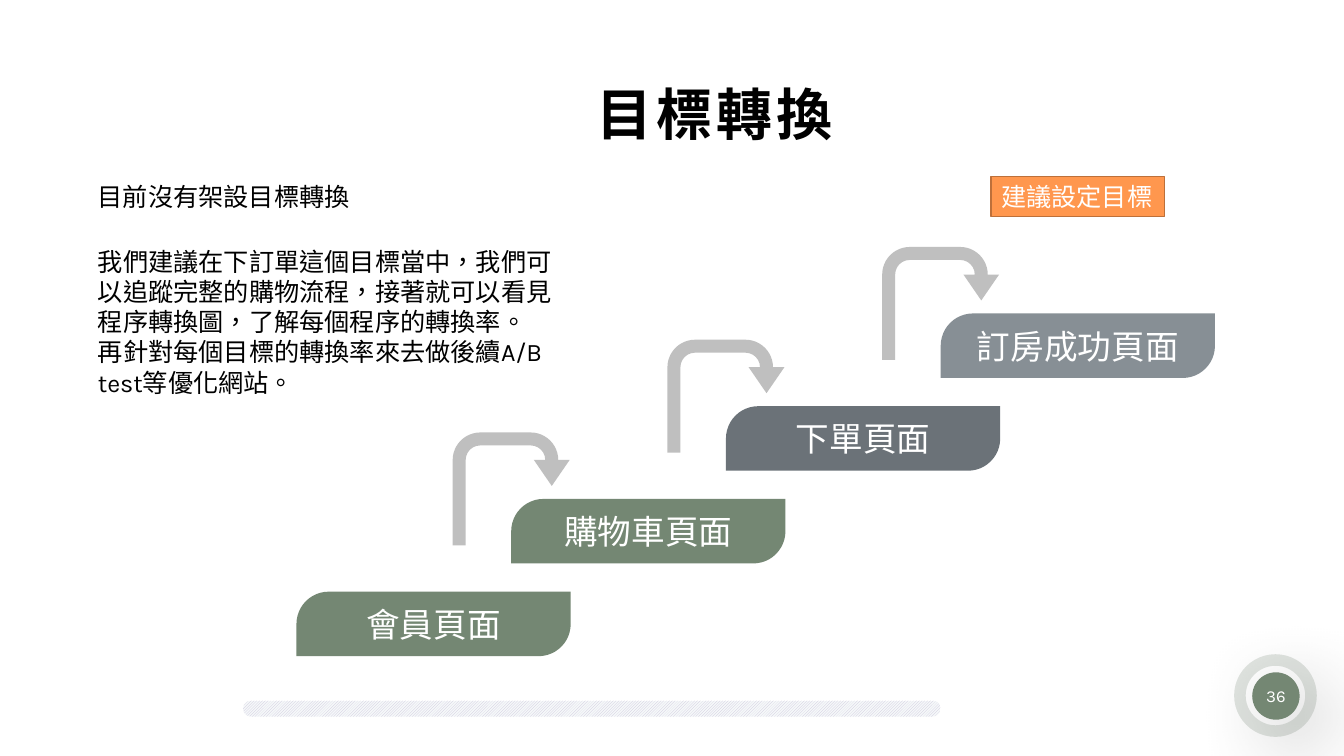
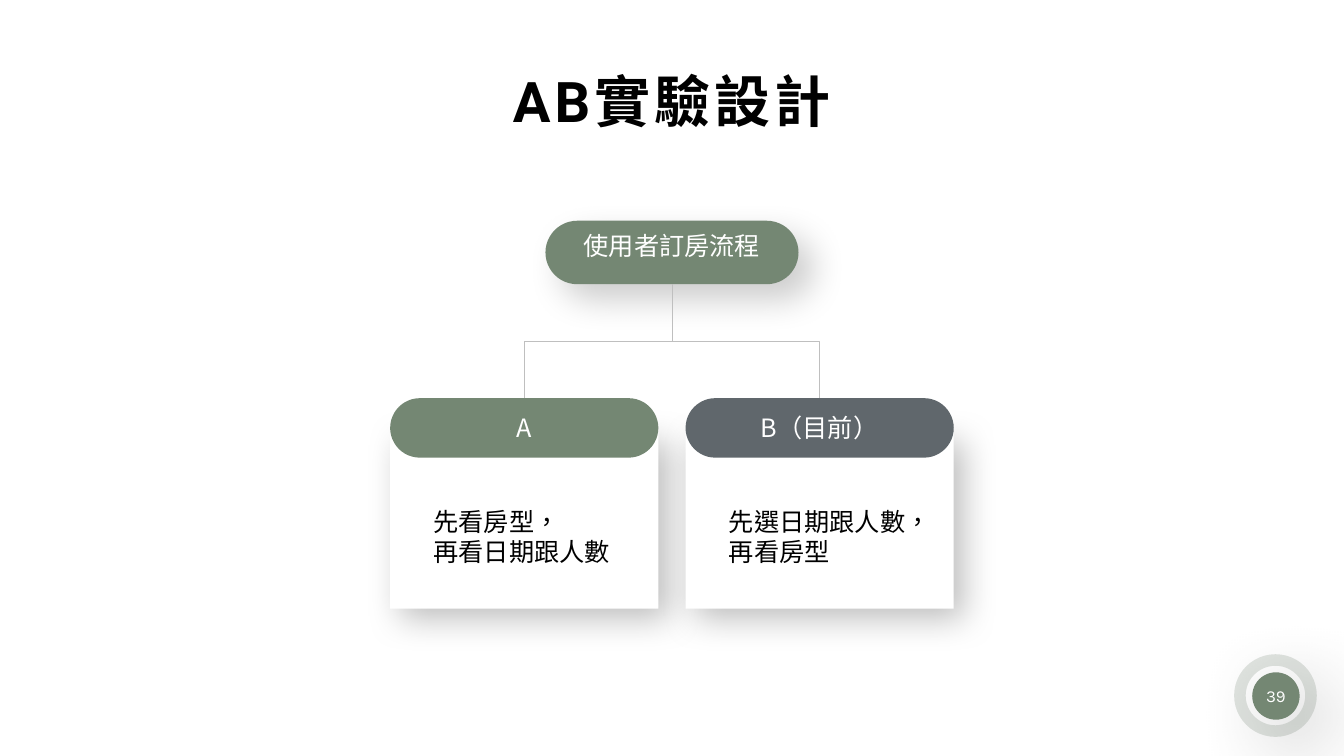
from lxml import etree
from pptx import Presentation
from pptx import util as u
from pptx.dml.color import RGBColor
from pptx.enum import dml, shapes, text
from pptx.oxml.ns import qn

SAGE, SLATE, STONE, CHARCOAL = "748773", "6B7278", "878F95", "60676C"
SILVER, WHITE, BLACK = "BFBFBF", "FFFFFF", "000000"
TITLE_FACE, STEP_FACE, BODY_FACE, TREE_FACE = (
    "Roboto", "Roboto Condensed", "Karla", "Noto Sans CJK SC")
SHAPE = shapes.MSO_SHAPE
LEFT, CENTER = text.PP_ALIGN.LEFT, text.PP_ALIGN.CENTER
TOP, MIDDLE = text.MSO_ANCHOR.TOP, text.MSO_ANCHOR.MIDDLE


def rgb(hex_color):
    return RGBColor.from_string(hex_color)


def add_alpha(color_element, percent):
    etree.SubElement(color_element, qn("a:alpha"), val=str(percent * 1000))


class Deck:
    """Holds the shared style and the slide being built."""

    def __init__(self):
        self.prs = Presentation()
        self.prs.slide_width = u.Inches(13.33)
        self.prs.slide_height = u.Inches(7.5)
        self.slide = None

    def new_slide(self, layout, title, title_box, page):
        self.slide = self.prs.slides.add_slide(self.prs.slide_layouts[layout])
        heading = self.slide.shapes.title
        self.place(heading, title_box)
        self.set_text(heading, [title], 40, TITLE_FACE, BLACK, CENTER,
                      wrap=False, bold=True, tracking=3)
        self.page_badge(page)

    def place(self, target, box):
        target.left, target.top, target.width, target.height = map(u.Inches, box)

    def set_text(self, target, lines, size, face, color, align=LEFT, anchor=TOP,
                 wrap=True, bold=False, tracking=0,
                 margins=(0.1, 0.05, 0.1, 0.05)):
        frame = target.text_frame
        frame.auto_size = text.MSO_AUTO_SIZE.NONE
        frame.word_wrap = wrap
        frame.vertical_anchor = anchor
        (frame.margin_left, frame.margin_top,
         frame.margin_right, frame.margin_bottom) = map(u.Inches, margins)
        frame.text = "\n".join(lines)
        for paragraph in frame.paragraphs:
            paragraph.alignment = align
            paragraph.space_before = u.Pt(0)
            if target.is_placeholder:
                self.clear_bullet(paragraph)
            font = paragraph.font
            font.size, font.bold, font.name = u.Pt(size), bold, face
            font.color.rgb = rgb(color)
            defaults = paragraph._p.pPr.find(qn("a:defRPr"))
            defaults.set("lang", "zh-TW")
            defaults.set("spc", str(tracking * 100))
            etree.SubElement(defaults, qn("a:ea"), typeface=face)

    def clear_bullet(self, paragraph):
        properties = paragraph._p.get_or_add_pPr()
        properties.set("marL", "0")
        properties.set("indent", "0")
        etree.SubElement(properties, qn("a:buNone"))

    def shape(self, kind, box, fill, adjust=(), alpha=None, outline=None,
              shadow=None):
        """Adds a preset shape; shadow is (opacity %, blur pt, distance pt)."""
        item = self.slide.shapes.add_shape(kind, *map(u.Inches, box))
        for index, value in enumerate(adjust):
            item.adjustments[index] = value
        item.fill.solid()
        item.fill.fore_color.rgb = rgb(fill)
        if alpha is not None:
            add_alpha(item._element.spPr.find(".//" + qn("a:srgbClr")), alpha)
        if outline:
            item.line.color.rgb = rgb(outline)
            item.line.width = u.Pt(1)
        else:
            item.line.fill.background()
        item.shadow.inherit = False
        if shadow:
            self.cast_shadow(item, *shadow)
        return item

    def cast_shadow(self, item, opacity, blur, distance):
        effects = item._element.spPr.find(qn("a:effectLst"))
        outer = etree.SubElement(
            effects, qn("a:outerShdw"), blurRad=str(u.Pt(blur)),
            dist=str(u.Pt(distance)), dir="2700000", algn="tl", rotWithShape="0")
        add_alpha(etree.SubElement(outer, qn("a:srgbClr"), val=BLACK), opacity)

    def pill(self, box, fill, label, shadow=None, **style):
        pill = self.shape(SHAPE.ROUNDED_RECTANGLE, box, fill, [0.5], shadow=shadow)
        self.set_text(pill, [label], 18, TREE_FACE, WHITE, CENTER, **style)

    def page_badge(self, page):
        self.shape(SHAPE.DONUT, (12.24, 6.49, 0.82, 0.82), SAGE, [0.14], alpha=22)
        disc = self.shape(SHAPE.OVAL, (12.42, 6.67, 0.47, 0.47), SAGE,
                          shadow=(40, 59, 21))
        self.set_text(disc, [page], 12, BODY_FACE, WHITE, CENTER, MIDDLE,
                      wrap=False, margins=(0, 0, 0, 0))

    def note(self, box, line):
        note = self.slide.shapes.add_textbox(*map(u.Inches, box))
        self.set_text(note, [line], 18, BODY_FACE, BLACK, wrap=False)

    def body(self, box, lines):
        body = self.slide.placeholders[1]
        self.place(body, box)
        self.set_text(body, lines, 18, BODY_FACE, BLACK)

    def tree_branch(self, start, end):
        """Draws an elbow that leaves downwards: a turned horizontal elbow."""
        (x1, y1), (x2, y2) = start, end
        middle_x, middle_y = (x1 + x2) / 2, (y1 + y2) / 2
        half_run, half_rise = (y2 - y1) / 2, abs(x2 - x1) / 2
        to_right = x2 > x1
        if to_right:
            half_run = -half_run
        branch = self.slide.shapes.add_connector(
            shapes.MSO_CONNECTOR.ELBOW,
            u.Inches(middle_x - half_run), u.Inches(middle_y - half_rise),
            u.Inches(middle_x + half_run), u.Inches(middle_y + half_rise))
        branch.line.color.rgb = rgb(SILVER)
        branch.line.width = u.Pt(0.5)
        properties = branch._element.spPr
        degrees = 270 if to_right else 90
        properties.find(qn("a:xfrm")).set("rot", str(degrees * 60000))
        etree.SubElement(properties, qn("a:effectLst"))


def build_goal_slide(deck):
    deck.new_slide(1, "目標轉換", (5.78, 0.74, 2.61, 0.77), "36")
    steps = [("會員頁面", SAGE), ("購物車頁面", SAGE),
             ("下單頁面", SLATE), ("訂房成功頁面", STONE)]
    for index, (label, fill) in enumerate(steps):
        left, top = 2.94 + 2.13 * index, 5.87 - 0.92 * index
        step = deck.shape(SHAPE.ROUND_2_DIAG_RECTANGLE, (left, top, 2.72, 0.64),
                          fill, [0.5, 0])
        deck.set_text(step, [label], 24, STEP_FACE, WHITE, CENTER, MIDDLE)
        if index < len(steps) - 1:
            deck.shape(SHAPE.U_TURN_ARROW, (left + 1.55, top - 1.58, 1.16, 1.12),
                       SILVER, [0.115, 0.158, 0.23, 0.244, 0.474])

    ground = deck.shape(SHAPE.ROUNDED_RECTANGLE, (2.41, 6.95, 6.92, 0.16),
                        WHITE, [0.5])
    ground.fill.patterned()
    ground.fill.pattern = dml.MSO_PATTERN.LIGHT_UPWARD_DIAGONAL
    ground.fill.fore_color.rgb = rgb("CCC3DB")
    ground.fill.back_color.rgb = rgb("F5F8F9")

    deck.note((0.87, 1.75, 2.73, 0.4), "目前沒有架設目標轉換")
    advice = deck.shape(SHAPE.RECTANGLE, (9.83, 1.75, 1.72, 0.4), "FF974E",
                        outline="BD703A")
    deck.set_text(advice, ["建議設定目標"], 18, BODY_FACE, WHITE, wrap=False)
    deck.body((0.87, 2.39, 4.89, 1.62), [
        "我們建議在下訂單這個目標當中，我們可以追蹤完整的購物流程，"
        "接著就可以看見程序轉換圖，了解每個程序的轉換率。",
        "再針對每個目標的轉換率來去做後續A/B test等優化網站。"])


def build_experiment_slide(deck):
    deck.new_slide(5, "AB實驗設計", (4.92, 0.61, 3.49, 0.77), "39")
    variants = [("A", SAGE, ["先看房型，", "再看日期跟人數"]),
                ("B（目前）", CHARCOAL, ["先選日期跟人數，", "再看房型"])]
    width, root_bottom, variant_top = 2.66, 2.82, 3.95
    deck.pill((5.41, 2.19, 2.51, 0.63), SAGE, "使用者訂房流程",
              shadow=(20, 25, 15), margins=(0.1, 0, 0.1, 0))
    for index, (label, fill, order) in enumerate(variants):
        left = 3.87 + 2.93 * index
        card = deck.shape(SHAPE.RECTANGLE, (left, 4.28, width, 1.76), WHITE,
                          shadow=(25, 25, 10))
        deck.set_text(card, order, 18, BODY_FACE, BLACK,
                      margins=(0.43, 0.74, 0, 0))
        deck.pill((left, variant_top, width, 0.59), fill, label, anchor=MIDDLE)
        deck.tree_branch((6.67, root_bottom), (left + width / 2, variant_top))


def main():
    deck = Deck()
    build_goal_slide(deck)
    build_experiment_slide(deck)
    deck.prs.save("out.pptx")


if __name__ == "__main__":
    main()
